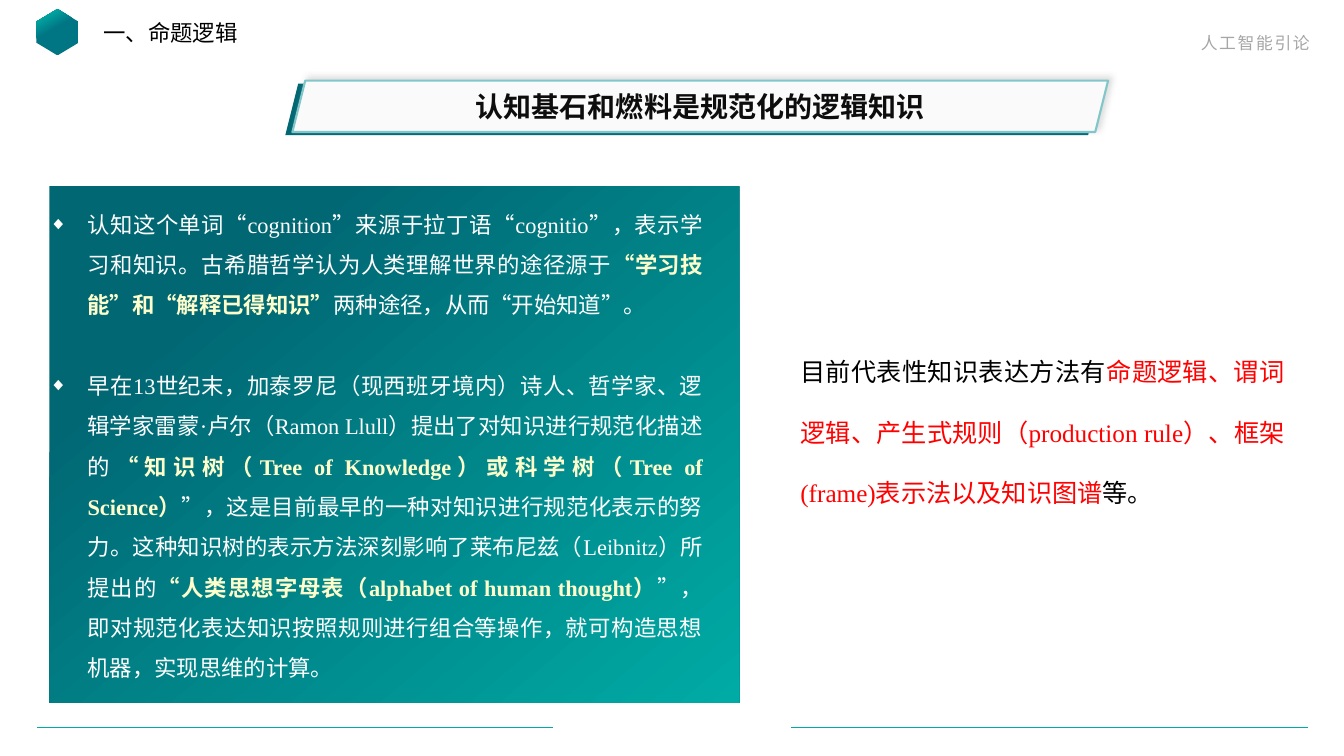
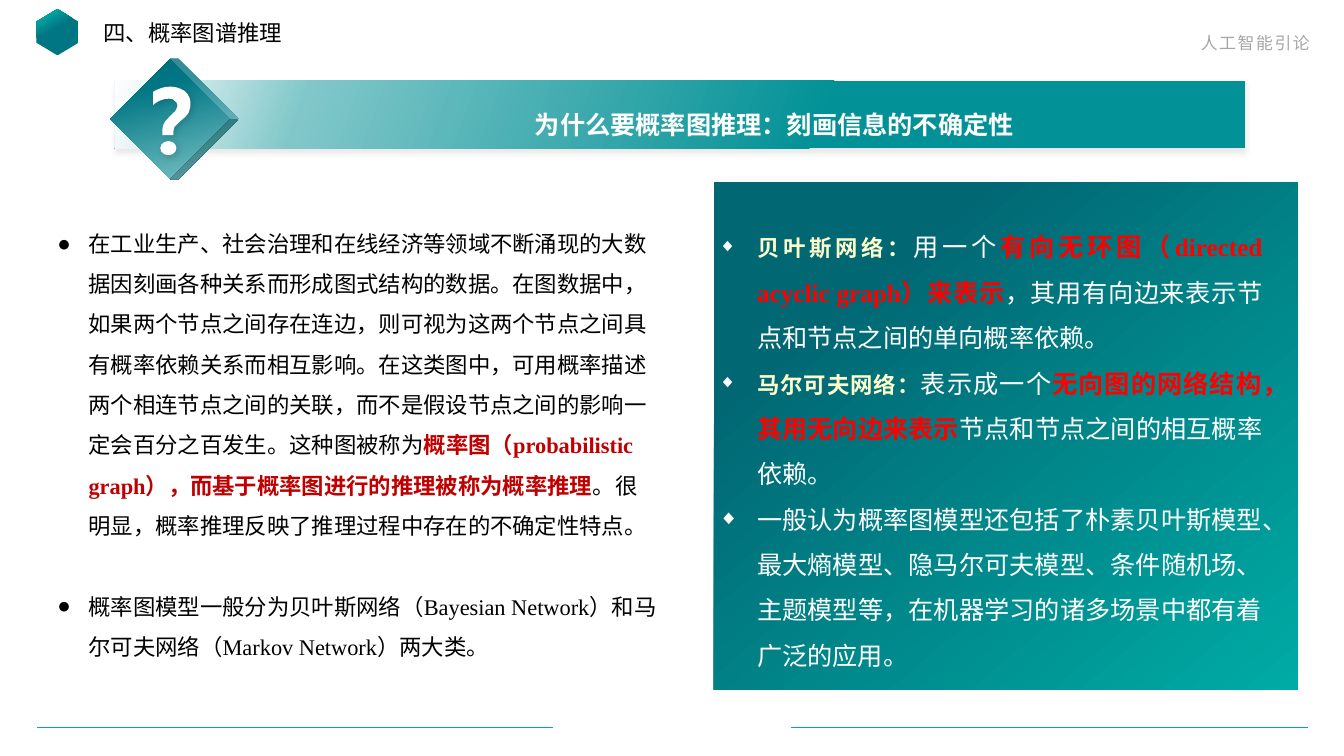
import copy

import pptx
import pptx.dml.color
import pptx.enum.shapes
import pptx.enum.text
import pptx.oxml
import pptx.oxml.ns
import pptx.util
from lxml import etree

Inches, Pt = pptx.util.Inches, pptx.util.Pt
RGB = pptx.dml.color.RGBColor
SHAPE = pptx.enum.shapes.MSO_SHAPE
ALIGN = pptx.enum.text.PP_ALIGN
ANCHOR = pptx.enum.text.MSO_ANCHOR
qn = pptx.oxml.ns.qn

# Shared look
SERIF, SANS = "Times New Roman", "Noto Sans CJK SC"
WHITE, BLACK = RGB(0xFF, 0xFF, 0xFF), RGB(0, 0, 0)
DEEP, PETROL = RGB(0x01, 0x67, 0x73), RGB(0x00, 0x76, 0x84)
BAR, TEAL = RGB(0x01, 0x91, 0x96), RGB(0x00, 0xAB, 0xA5)
PALE, PAPER = RGB(0x81, 0xC7, 0xC9), RGB(0xFA, 0xFA, 0xFA)
GREY, INK = RGB(0xA6, 0xA6, 0xA6), RGB(0x0D, 0x0D, 0x0D)
CREAM, RED = RGB(0xFF, 0xFF, 0xCC), RGB(0xFF, 0, 0)
DARK_RED = RGB(0xC0, 0, 0)

WIDTH, HEIGHT = 13.33, 7.5
COURSE = "人工智能引论"
RULE_Y, RULES = 7.22, [(0.37, 5.48), (7.85, 12.97)]
PANEL_GRADIENT = [(22, DEEP), (100, TEAL)], 50
LINE_GAP = 29  # one line of 16 pt text at 1.5 spacing

# Bullets: character, colour, size in percent, indent in inches
DIAMOND = ("◆", WHITE, 80, 0.38)
DOT = ("●", BLACK, 100, 0.31)

# Content: paragraphs are lists of (text, colour, bold[, size])
COGNITION = [
    [("认知这个单词“cognition”来源于拉丁语“cognitio”，表示学习和知识。"
      "古希腊哲学认为人类理解世界的途径源于", WHITE, False),
     ("“学习技能”和“解释已得知识”", CREAM, True),
     ("两种途径，从而“开始知道”。", WHITE, False)],
    [("早在13世纪末，加泰罗尼（现西班牙境内）诗人、哲学家、逻辑学家雷蒙·卢尔"
      "（Ramon Llull）提出了对知识进行规范化描述的", WHITE, False),
     ("“知识树（Tree of Knowledge）或科学树（Tree of Science）", CREAM, True),
     ("”，这是目前最早的一种对知识进行规范化表示的努力。这种知识树的表示方法"
      "深刻影响了莱布尼兹（Leibnitz）所提出的", WHITE, False),
     ("“人类思想字母表（alphabet of human thought）", CREAM, True),
     ("”，即对规范化表达知识按照规则进行组合等操作，就可构造思想机器，"
      "实现思维的计算。", WHITE, False)],
]
METHODS = [
    [("目前代表性知识表达方法有", BLACK, False),
     ("命题逻辑、谓词逻辑、产生式规则（production rule）、框架(frame)表示法"
      "以及知识图谱", RED, False),
     ("等。", BLACK, False)],
]
GRAPH_DATA = [
    [("在工业生产、社会治理和在线经济等领域不断涌现的大数据因刻画各种关系而形成"
      "图式结构的数据。在图数据中，如果两个节点之间存在连边，则可视为这两个节点"
      "之间具有概率依赖关系而相互影响。在这类图中，可用概率描述两个相连节点之间"
      "的关联，而不是假设节点之间的影响一定会百分之百发生。这种图被称为",
      BLACK, False),
     ("概率图（probabilistic graph），而基于概率图进行的推理被称为概率推理",
      DARK_RED, True),
     ("。很明显，概率推理反映了推理过程中存在的不确定性特点。", BLACK, False)],
    [("概率图模型一般分为贝叶斯网络（Bayesian Network）和马尔可夫网络"
      "（Markov Network）两大类。", BLACK, False)],
]
NETWORKS = [
    [("贝叶斯网络：", CREAM, True, 16),
     ("用一个", WHITE, False),
     ("有向无环图（directed acyclic graph）来表示", RED, True),
     ("，其用有向边来表示节点和节点之间的单向概率依赖。", WHITE, False)],
    [("马尔可夫网络：", CREAM, True, 16),
     ("表示成一个", WHITE, False),
     ("无向图的网络结构，其用无向边来表示", RED, True),
     ("节点和节点之间的相互概率依赖。", WHITE, False)],
    [("一般认为概率图模型还包括了朴素贝叶斯模型、最大熵模型、隐马尔可夫模型、"
      "条件随机场、主题模型等，在机器学习的诸多场景中都有着广泛的应用。",
      WHITE, False)],
]

# Question mark: start, then curves (three points) or straight lines (one point)
HOOK_START = (1.69, 0.86)
HOOK = [
    [(1.75, 0.86), (1.8, 0.88), (1.84, 0.91)],
    [(1.87, 0.94), (1.89, 0.98), (1.89, 1.03)],
    [(1.89, 1.06), (1.88, 1.09), (1.87, 1.12)],
    [(1.85, 1.15), (1.83, 1.17), (1.79, 1.2)],
    [(1.76, 1.23), (1.74, 1.25), (1.73, 1.26)],
    [(1.73, 1.27), (1.72, 1.29), (1.72, 1.31)],
    [(1.72, 1.34)], [(1.61, 1.34)], [(1.61, 1.3)],
    [(1.61, 1.27), (1.62, 1.24), (1.63, 1.22)],
    [(1.64, 1.2), (1.66, 1.18), (1.68, 1.16)],
    [(1.71, 1.13), (1.73, 1.11), (1.74, 1.1)],
    [(1.75, 1.08), (1.76, 1.06), (1.76, 1.05)],
    [(1.76, 1.03), (1.75, 1.01), (1.73, 1.0)],
    [(1.72, 0.98), (1.7, 0.98), (1.67, 0.98)],
    [(1.62, 0.98), (1.57, 1.0), (1.52, 1.04)],
    [(1.52, 0.91)],
    [(1.57, 0.88), (1.63, 0.86), (1.69, 0.86)],
]


def child(parent, tag, **attrs):
    return etree.SubElement(parent, qn("a:" + tag), attrs)


def paint(sp, fill, line=None, shadow=None):
    """fill: colour or (stops, clockwise angle); shadow: colour, %, blur, distance, angle."""
    if isinstance(fill, RGB):
        sp.fill.solid()
        sp.fill.fore_color.rgb = fill
    else:
        stops, angle = fill
        sp.fill.gradient()
        sp.fill.gradient_angle = 360 - angle
        gs_list = sp._element.spPr.find(".//" + qn("a:gsLst"))
        while len(gs_list) < len(stops):
            gs_list.append(copy.deepcopy(gs_list[-1]))
        for stop, (position, color) in zip(sp.fill.gradient_stops, stops):
            stop.position, stop.color.rgb = position / 100, color
    if line:
        sp.line.color.rgb, sp.line.width = line, Pt(1.5)
    else:
        sp.line.fill.background()
    sp.shadow.inherit = False
    if shadow:
        color, opacity, blur, distance, angle = shadow
        effects = sp._element.spPr.find(qn("a:effectLst"))
        outer = child(effects, "outerShdw", blurRad=str(Pt(blur)), dist=str(Pt(distance)),
                      dir=str(angle * 60000), algn="ctr", rotWithShape="0")
        child(child(outer, "srgbClr", val=color), "alpha", val=str(opacity * 1000))
    return sp


def add_shape(s, kind, box, fill, adj=None, rotation=0, **look):
    sp = s.shapes.add_shape(kind, *map(Inches, box))
    if adj is not None:
        sp.adjustments[0] = adj
    sp.rotation = rotation
    return paint(sp, fill, **look)


def style(p, size, font, align, spacing):
    p.alignment, p.line_spacing = align, spacing
    p.font.size, p.font.name = Pt(size), font
    child(p._p.pPr.find(qn("a:defRPr")), "ea", typeface=SANS)


def add_bullet(p, bullet):
    char, color, percent, indent = bullet
    pPr = p._p.get_or_add_pPr()
    pPr.set("marL", str(Inches(indent)))
    pPr.set("indent", str(-Inches(indent)))
    child(child(pPr, "buClr"), "srgbClr", val=str(color))
    child(pPr, "buSzPct", val=str(percent * 1000))
    child(pPr, "buFont", typeface=SERIF)
    child(pPr, "buChar", char=char)


def add_text(s, box, paragraphs, size, align=ALIGN.LEFT, spacing=1.0,
             bullet=None, gap=0, font=SERIF):
    tf = s.shapes.add_textbox(*map(Inches, box)).text_frame
    tf.word_wrap = True
    for i, runs in enumerate(paragraphs):
        p = tf.add_paragraph() if i else tf.paragraphs[0]
        if bullet:
            add_bullet(p, bullet)
        style(p, size, font, align, spacing)
        if i and gap:
            p.space_before = Pt(gap)
        for text, color, bold, *own_size in runs:
            r = p.add_run()
            r.text, r.font.bold, r.font.color.rgb = text, bold, color
            if own_size:
                r.font.size = Pt(own_size[0])
    return tf


def add_slide(prs, section):
    """Blank slide with emblem, section name, course name and foot rules."""
    s = prs.slides.add_slide(prs.slide_layouts[6])
    tf = add_text(s, (9.57, 0.28, 3.52, 0.3), [[(COURSE, GREY, False)]], 12,
                  ALIGN.RIGHT, font=SANS)
    tf.paragraphs[0].runs[0]._r.get_or_add_rPr().set("spc", "120")
    add_shape(s, SHAPE.HEXAGON, (0.34, 0.11, 0.46, 0.42),
              ([(57, PETROL), (87, TEAL)], 150), adj=0.3, rotation=90)
    for left, right in RULES:
        rule = s.shapes.add_connector(pptx.enum.shapes.MSO_CONNECTOR.STRAIGHT,
                                      *map(Inches, (left, RULE_Y, right, RULE_Y)))
        rule.line.color.rgb, rule.line.width = TEAL, Pt(0.5)
        child(rule._element.spPr, "effectLst")
    add_text(s, (0.93, 0.14, 4, 0.37), [[(section, BLACK, False)]], 16)
    return s


def add_panel(s, box):
    add_shape(s, SHAPE.RECTANGLE, box, PANEL_GRADIENT)


def outline(start, segments, steps=6):
    """Points along straight lines and cubic curves."""
    points = [start]
    for segment in segments:
        if len(segment) == 1:
            points += segment
            continue
        corners = [points[-1], *segment]
        for t in (i / steps for i in range(1, steps + 1)):
            weights = ((1 - t) ** 3, 3 * t * (1 - t) ** 2, 3 * t * t * (1 - t), t ** 3)
            points.append(tuple(sum(w * c[axis] for w, c in zip(weights, corners))
                                for axis in (0, 1)))
    return [(Inches(x), Inches(y)) for x, y in points]


def logic_slide(prs):
    s = add_slide(prs, "一、命题逻辑")
    # Title plate
    add_shape(s, SHAPE.PARALLELOGRAM, (2.83, 0.83, 8.09, 0.51), DEEP)
    plate = add_shape(s, SHAPE.PARALLELOGRAM, (2.9, 0.8, 8.09, 0.51), PAPER,
                      line=PALE, shadow=("AFABAB", 40, 4, 3, 315))
    tf = plate.text_frame
    tf.margin_top = tf.margin_bottom = 0
    tf.vertical_anchor = ANCHOR.MIDDLE
    p = tf.paragraphs[0]
    p.text = "认知基石和燃料是规范化的逻辑知识"
    style(p, 20, SERIF, ALIGN.CENTER, 1.0)
    p.font.bold, p.font.color.rgb = True, INK
    # Body
    add_panel(s, (0.49, 1.85, 6.84, 5.12))
    add_text(s, (0.39, 1.91, 6.68, 5.1), COGNITION, 16, ALIGN.JUSTIFY, 1.5,
             DIAMOND, LINE_GAP)
    add_text(s, (7.84, 3.19, 5, 1.9), METHODS, 18, ALIGN.JUSTIFY, 2.0)


def graph_slide(prs):
    s = add_slide(prs, "四、概率图谱推理")
    # Title bar with question mark
    add_shape(s, SHAPE.RECTANGLE, (1.14, 0.8, 11.21, 0.67),
              ([(37, BAR), (83, PALE), (100, WHITE)], 200),
              shadow=("262626", 10, 4, 3, 90))
    add_shape(s, SHAPE.CUBE, (1.28, 0.73, 0.9, 0.9),
              ([(0, DEEP), (26, PETROL), (100, PALE)], 30), adj=0.06, rotation=45)
    mark_shadow = ("000000", 15, 5, 2, 45)
    first, *rest = outline(HOOK_START, HOOK)
    builder = s.shapes.build_freeform(*first)
    builder.add_line_segments(rest, close=True)
    paint(builder.convert_to_shape(), WHITE, shadow=mark_shadow)
    add_shape(s, SHAPE.OVAL, (1.59, 1.4, 0.16, 0.14), WHITE, shadow=mark_shadow)
    add_text(s, (2.96, 0.89, 9.44, 0.66),
             [[("为什么要概率图推理：刻画信息的不确定性", WHITE, True)]], 18,
             ALIGN.CENTER, 1.5, font=SANS)
    # Body
    add_text(s, (0.47, 2.1, 6.15, 4.6), GRAPH_DATA, 16, ALIGN.LEFT, 1.5, DOT, LINE_GAP)
    add_panel(s, (7.08, 1.81, 5.79, 5.03))
    add_text(s, (7.03, 2.1, 5.59, 4.7), NETWORKS, 18, ALIGN.JUSTIFY, 1.5, DIAMOND)


def main():
    prs = pptx.Presentation()
    prs.slide_width, prs.slide_height = Inches(WIDTH), Inches(HEIGHT)
    logic_slide(prs)
    graph_slide(prs)
    prs.save("out.pptx")


if __name__ == "__main__":
    main()
